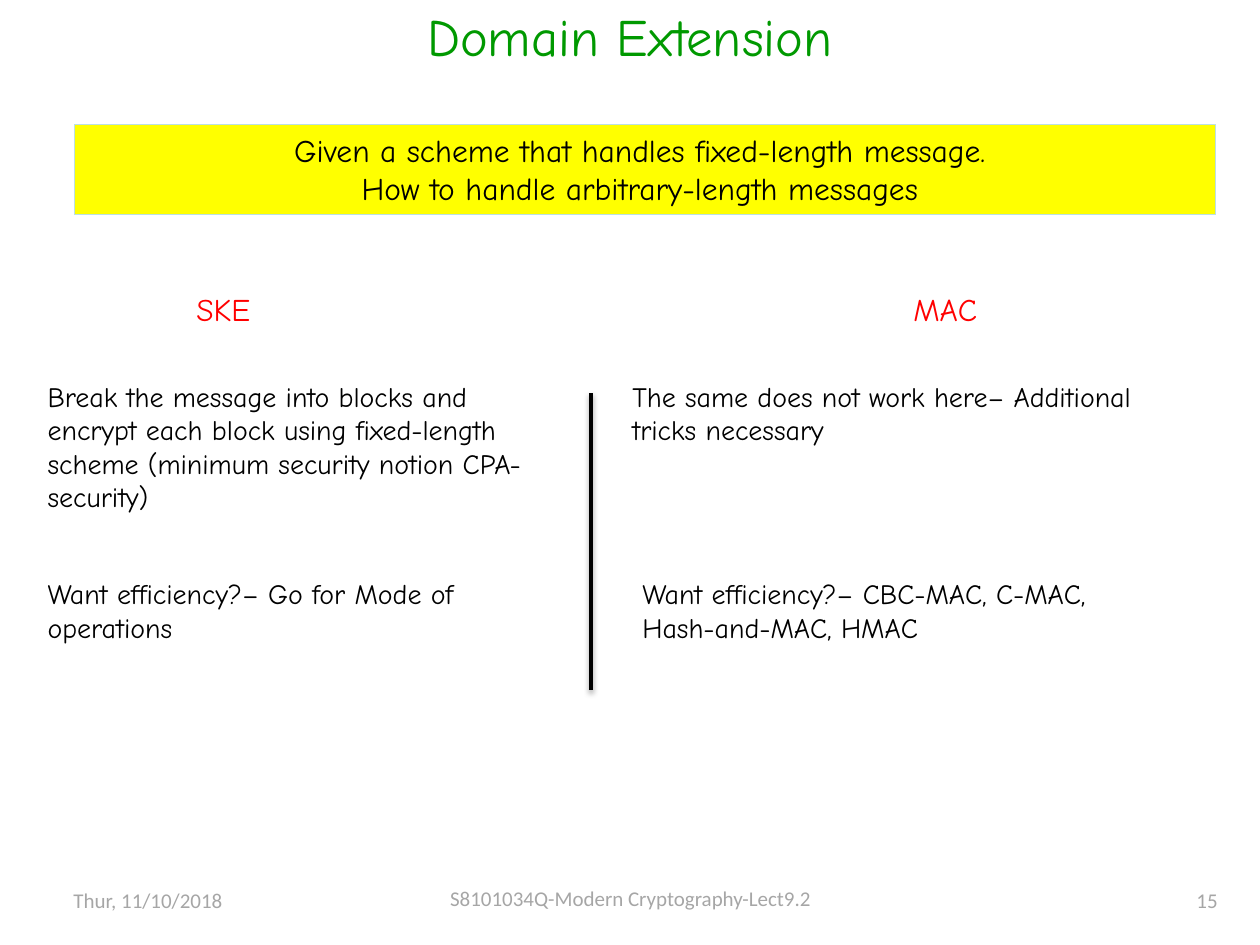
"""Build the Domain Extension slide comparing SKE and MAC."""
from dataclasses import dataclass

from lxml.etree import SubElement
from pptx import Presentation
from pptx.dml.color import RGBColor
from pptx.enum.shapes import MSO_CONNECTOR, MSO_SHAPE
from pptx.enum.text import MSO_ANCHOR, PP_ALIGN
from pptx.oxml.ns import qn
from pptx.shapes.base import BaseShape
from pptx.slide import Slide
from pptx.util import Inches, Length, Pt


@dataclass(frozen=True)
class Style:
    """Font, size, colour and placement of a text."""
    font: str
    size: int
    color: str
    align: PP_ALIGN = PP_ALIGN.LEFT
    anchor: MSO_ANCHOR = MSO_ANCHOR.TOP
    wrap: bool = True


@dataclass(frozen=True)
class Theme:
    """Colours and type styles of the slide."""
    ink: str = "000000"
    banner_fill: str = "FFFF00"
    banner_line: str = "BBE0E3"
    title: Style = Style("Comic Neue", 30, "009900", PP_ALIGN.CENTER, MSO_ANCHOR.MIDDLE)
    banner: Style = Style("Comic Neue", 18, "000000", PP_ALIGN.CENTER)
    heading: Style = Style("Comic Neue", 18, "FF0000", wrap=False)
    body: Style = Style("Comic Neue", 16, "000000")
    footer: Style = Style("Calibri", 12, "A6A6A6", PP_ALIGN.CENTER, MSO_ANCHOR.MIDDLE)


@dataclass(frozen=True)
class Area:
    """A rectangle in grid columns and rows."""
    column: float
    row: float
    columns: float
    rows: float

    def lengths(self) -> tuple[Length, ...]:
        """Return left, top, width and height as lengths."""
        return tuple(grid(cells) for cells in (self.column, self.row, self.columns, self.rows))


@dataclass(frozen=True)
class Label:
    """A text with its area and style."""
    text: str
    area: Area
    style: Style


THEME = Theme()
CELLS_PER_INCH = 10
COLUMNS, ROWS = 100, 75
LEFT, RIGHT = 2.8, 49.2
HEADING_ROW, METHOD_ROW, EFFICIENCY_ROW, FOOTER_ROW = 22.5, 29.6, 45.3, 70
BANNER = Area(5.9, 9.9, 90.6, 7.1)
BANNER_TEXT = (
    "Given a scheme that handles fixed-length message. \n"
    "How to handle arbitrary-length messages "
)
LABELS = (
    Label("Domain Extension", Area(0, -0.3, COLUMNS, 6.3), THEME.title),
    Label("SKE", Area(14.6, HEADING_ROW, 6.3, 4), THEME.heading),
    Label("MAC", Area(71.5, HEADING_ROW, 7.2, 4), THEME.heading),
    Label("Break the message into blocks and encrypt each block using fixed-length "
          "scheme (minimum security notion CPA-security)",
          Area(LEFT, METHOD_ROW, 41.7, 11.8), THEME.body),
    Label("The same does not work here– Additional tricks necessary",
          Area(RIGHT, METHOD_ROW, 47.2, 6.4), THEME.body),
    Label("Want efficiency?– Go for Mode of operations",
          Area(LEFT, EFFICIENCY_ROW, 41.7, 6.4), THEME.body),
    Label("Want efficiency?– CBC-MAC, C-MAC, Hash-and-MAC, HMAC",
          Area(RIGHT + 0.8, EFFICIENCY_ROW, 41.7, 6.4), THEME.body),
    Label("Thur, 11/10/2018", Area(0.1, FOOTER_ROW, 23.3, 2.9), THEME.footer),
    Label("S8101034Q-Modern Cryptography-Lect9.2",
          Area(34.2, FOOTER_ROW - 0.2, 31.7, 2.9), THEME.footer),
    Label("15", Area(93, FOOTER_ROW, 5.6, 2.9), THEME.footer),
)


def grid(cells: float) -> Length:
    """Convert grid cells to a length."""
    return Inches(cells / CELLS_PER_INCH)


def rgb(color: str) -> RGBColor:
    """Convert a hex string to a colour."""
    return RGBColor.from_string(color)


def write(box: BaseShape, text: str, style: Style) -> None:
    """Fill a shape with styled paragraphs."""
    frame = box.text_frame
    frame.text = text
    frame.word_wrap = style.wrap
    frame.vertical_anchor = style.anchor
    for para in frame.paragraphs:
        para.alignment = style.align
        para.font.name = style.font
        para.font.size = Pt(style.size)
        para.font.color.rgb = rgb(style.color)


def draw_label(page: Slide, label: Label) -> None:
    """Draw a text box."""
    write(page.shapes.add_textbox(*label.area.lengths()), label.text, label.style)


def draw_banner(page: Slide) -> None:
    """Draw the highlighted question."""
    banner = page.shapes.add_shape(MSO_SHAPE.RECTANGLE, *BANNER.lengths())
    banner.shadow.inherit = False
    banner.fill.solid()
    banner.fill.fore_color.rgb = rgb(THEME.banner_fill)
    banner.line.color.rgb = rgb(THEME.banner_line)
    banner.line.width = Pt(0.75)
    write(banner, BANNER_TEXT, THEME.banner)


def draw_divider(page: Slide) -> None:
    """Draw the vertical line with its soft shadow."""
    column, top, bottom = grid(46.9), grid(31.2), grid(54.8)
    divider = page.shapes.add_connector(MSO_CONNECTOR.STRAIGHT, column, top, column, bottom)
    divider.line.color.rgb = rgb(THEME.ink)
    divider.line.width = Pt(2)
    effects = SubElement(divider._element.spPr, qn("a:effectLst"))
    shadow = SubElement(effects, qn("a:outerShdw"), blurRad=str(Pt(3.1)), dist=str(Pt(1.6)),
                        dir=str(90 * 60000), rotWithShape="0")
    color = SubElement(shadow, qn("a:srgbClr"), val=THEME.ink)
    SubElement(color, qn("a:alpha"), val="38000")


def main() -> None:
    """Build and save the deck."""
    deck = Presentation()
    deck.slide_width, deck.slide_height = grid(COLUMNS), grid(ROWS)
    page = deck.slides.add_slide(deck.slide_layouts[6])
    draw_divider(page)
    draw_banner(page)
    for label in LABELS:
        draw_label(page, label)
    deck.save("out.pptx")


if __name__ == "__main__":
    main()
